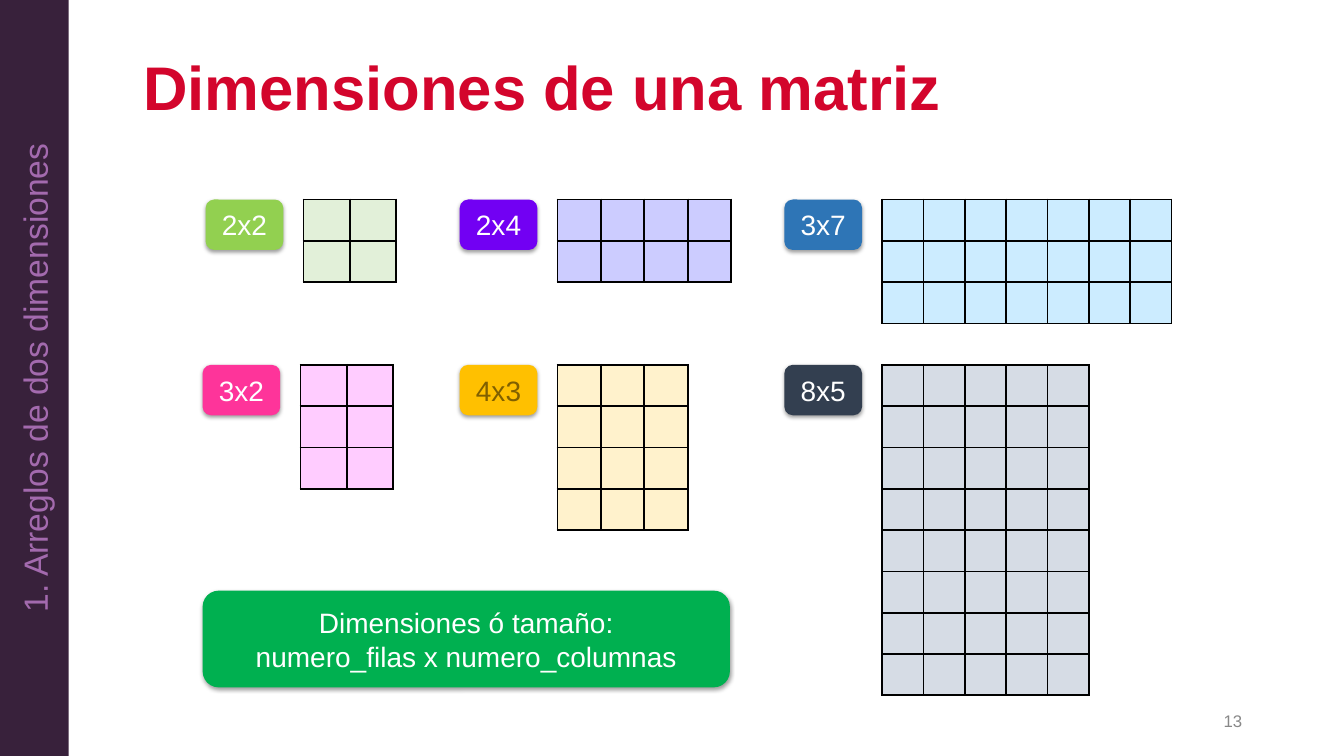
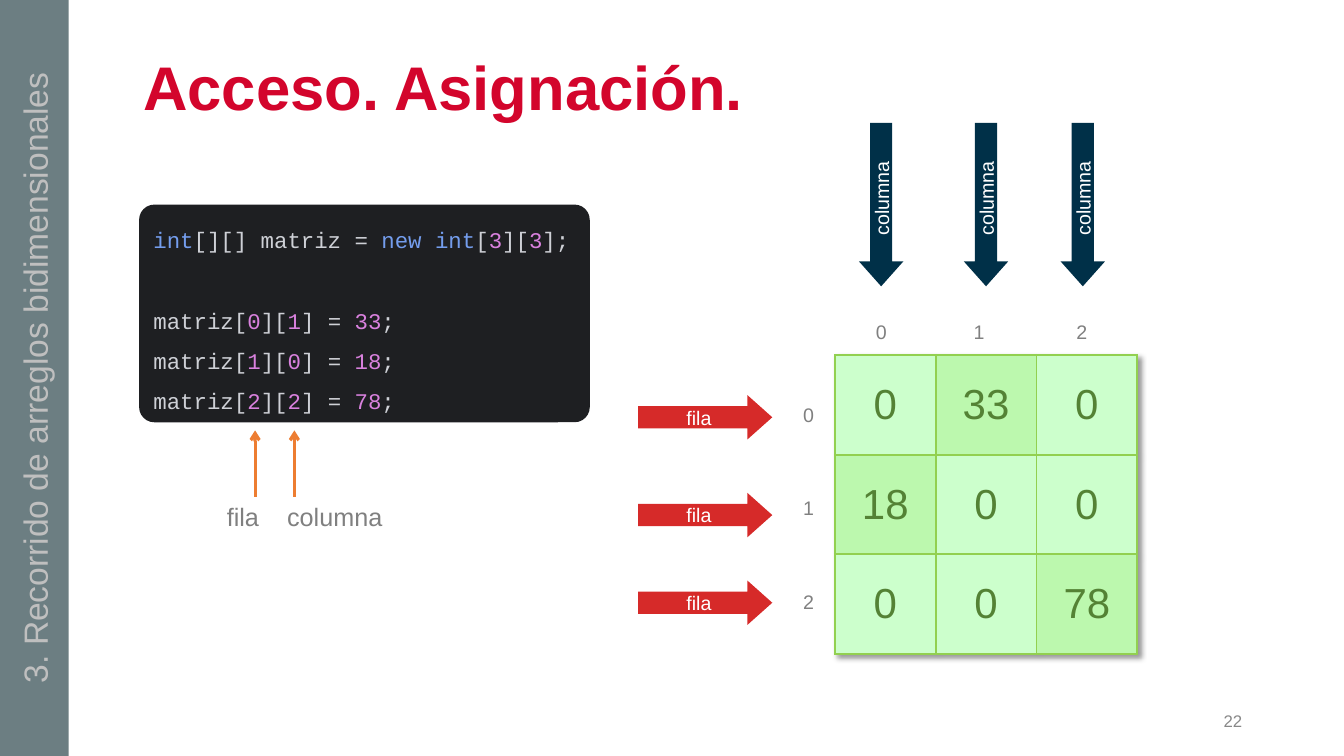
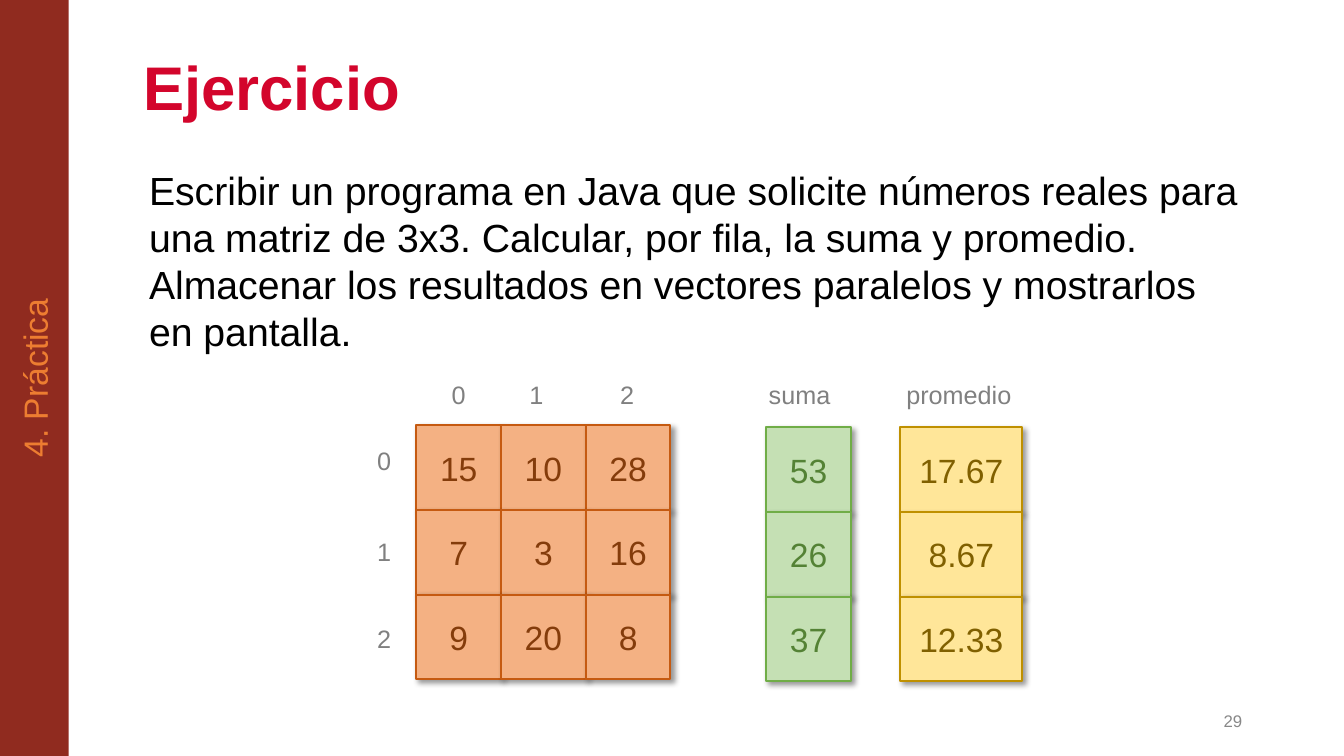
from lxml.etree import SubElement
from pptx import Presentation
from pptx.dml.color import RGBColor
from pptx.enum.shapes import MSO_CONNECTOR, MSO_SHAPE
from pptx.enum.text import MSO_ANCHOR, MSO_AUTO_SIZE, PP_ALIGN
from pptx.oxml import parse_xml
from pptx.oxml.ns import nsdecls, qn
from pptx.util import Inches, Pt

# Shared colours
WHITE = RGBColor(0xFF, 0xFF, 0xFF)
BLACK = RGBColor(0x00, 0x00, 0x00)
TITLE_RED = RGBColor(0xD3, 0x05, 0x2C)
PAGE_GREY = RGBColor(0x88, 0x88, 0x88)
LABEL_GREY = RGBColor(0x80, 0x80, 0x80)
ORANGE = RGBColor(0xED, 0x7D, 0x31)
DARK_GOLD = RGBColor(0x80, 0x60, 0x00)
DARK_GREEN = RGBColor(0x54, 0x82, 0x35)
LIME = RGBColor(0x92, 0xD0, 0x50)

# Section bands
PLUM = RGBColor(0x38, 0x21, 0x3B)
LILAC = RGBColor(0xA3, 0x6A, 0xAE)
SLATE = RGBColor(0x6C, 0x7E, 0x82)
SILVER = RGBColor(0xBF, 0xBF, 0xBF)
BRICK = RGBColor(0x90, 0x2B, 0x1F)

# Matrix sizes
VIOLET = RGBColor(0x72, 0x00, 0xF3)
PINK = RGBColor(0xFE, 0x34, 0x9A)
AMBER = RGBColor(0xFF, 0xC0, 0x00)
BLUE = RGBColor(0x2E, 0x75, 0xB6)
NAVY_GREY = RGBColor(0x33, 0x3F, 0x50)
GREEN = RGBColor(0x00, 0xB0, 0x50)
PALE_GREEN = RGBColor(0xE2, 0xF0, 0xD9)
PALE_VIOLET = RGBColor(0xCC, 0xCC, 0xFF)
PALE_PINK = RGBColor(0xFF, 0xCC, 0xFF)
PALE_AMBER = RGBColor(0xFF, 0xF2, 0xCC)
PALE_BLUE = RGBColor(0xCC, 0xEC, 0xFF)
PALE_GREY = RGBColor(0xD6, 0xDC, 0xE5)

# Code and its matrix
CODE_BACK = RGBColor(0x1E, 0x1F, 0x22)
CODE_TEXT = RGBColor(0xCE, 0xD0, 0xD6)
CODE_KEYWORD = RGBColor(0x74, 0x9D, 0xED)
CODE_NUMBER = RGBColor(0xD9, 0x81, 0xDE)
MINT = RGBColor(0xCC, 0xFF, 0xCC)
ASSIGNED_GREEN = RGBColor(0xBC, 0xF8, 0xAE)
ROW_RED = RGBColor(0xD6, 0x2A, 0x29)
COLUMN_NAVY = RGBColor(0x00, 0x30, 0x48)

# Exercise cells
PEACH = RGBColor(0xF4, 0xB1, 0x83)
RUST = RGBColor(0xC5, 0x5A, 0x11)
BROWN = RGBColor(0x84, 0x3C, 0x0B)
SUM_FILL = RGBColor(0xC5, 0xE0, 0xB4)
SUM_LINE = RGBColor(0x70, 0xAD, 0x47)
MEAN_FILL = RGBColor(0xFF, 0xE6, 0x99)
MEAN_LINE = RGBColor(0xBF, 0x90, 0x00)

# Shadows: opacity in percent, blur and distance in points, angle in degrees
SOFT_SHADOW = (38, 3.1, 1.6, 90)
CORNER_SHADOW = (40, 4, 3, 45)


def shadow_effect(opacity, blur, distance, angle):
    return parse_xml(
        f'<a:effectLst {nsdecls("a")}><a:outerShdw blurRad="{Pt(blur)}" '
        f'dist="{Pt(distance)}" dir="{angle * 60000}" algn="tl" rotWithShape="0">'
        f'<a:srgbClr val="000000"><a:alpha val="{opacity * 1000}"/></a:srgbClr>'
        '</a:outerShdw></a:effectLst>')


class Deck:
    """Holds the presentation style and the slide being built."""

    def __init__(self):
        self.presentation = Presentation()
        self.presentation.slide_width = Inches(13.33)
        self.presentation.slide_height = Inches(7.5)
        self.slide = None

    def new_slide(self, title, number, section, band_color, section_color):
        layout = self.presentation.slide_layouts[5]
        self.slide = self.presentation.slides.add_slide(layout)
        # Title
        shape = self.slide.shapes.title
        shape.left, shape.top = Inches(1.32), Inches(0.47)
        shape.width, shape.height = Inches(11.1), Inches(0.86)
        self.set_text(shape.text_frame, title, 44, TITLE_RED, PP_ALIGN.LEFT, bold=True)
        shape.text_frame.paragraphs[0].line_spacing = 0.9
        # Page number and section band
        self.text(9.42, 6.95, 3, 0.4, number, 12, PAGE_GREY,
                  PP_ALIGN.RIGHT, MSO_ANCHOR.MIDDLE)
        band = self.shape(MSO_SHAPE.RECTANGLE, 0, 0, 0.68, 7.5, band_color,
                          section, 24, section_color)
        band.text_frame._txBody.bodyPr.set("vert", "vert270")

    def format_run(self, run, size, color, name="Arial", bold=False):
        run.font.name = name
        run.font.size = Pt(size)
        run.font.bold = bold
        run.font.color.rgb = color

    def set_text(self, text_frame, text, size, color, align=PP_ALIGN.CENTER,
                 anchor=MSO_ANCHOR.MIDDLE, bold=False):
        text_frame.word_wrap = True
        text_frame.vertical_anchor = anchor
        paragraph = text_frame.paragraphs[0]
        paragraph.text = text
        paragraph.alignment = align
        for run in paragraph.runs:
            self.format_run(run, size, color, bold=bold)

    def text(self, left, top, width, height, text, size, color,
             align=PP_ALIGN.LEFT, anchor=MSO_ANCHOR.TOP):
        box = self.slide.shapes.add_textbox(
            Inches(left), Inches(top), Inches(width), Inches(height))
        self.set_text(box.text_frame, text, size, color, align, anchor)

    def label(self, center_x, center_y, text, size=18):
        width, height = 1.4, 0.5
        self.text(center_x - width / 2, center_y - height / 2, width, height,
                  text, size, LABEL_GREY, PP_ALIGN.CENTER, MSO_ANCHOR.MIDDLE)

    def shape(self, kind, left, top, width, height, fill, text="", size=20,
              color=WHITE, line=None, shadow=None):
        shape = self.slide.shapes.add_shape(
            kind, Inches(left), Inches(top), Inches(width), Inches(height))
        shape.shadow.inherit = False
        shape.fill.solid()
        shape.fill.fore_color.rgb = fill
        if line is None:
            shape.line.fill.background()
        else:
            shape.line.color.rgb = line
            shape.line.width = Pt(1.5)
        if shadow:
            properties = shape._element.spPr
            properties.replace(properties.find(qn("a:effectLst")),
                               shadow_effect(*shadow))
        self.set_text(shape.text_frame, text, size, color)
        return shape

    def block_arrow(self, left, top, width, fill, text):
        arrow = self.shape(MSO_SHAPE.RIGHT_ARROW, left, top, width, 0.44,
                           fill, text, 14)
        arrow.adjustments[1] = 0.56
        return arrow

    def down_arrow(self, left, top, width, fill, text):
        """A mirrored arrow turned so that its text reads upwards."""
        arrow = self.block_arrow(left, top, width, fill, text)
        arrow.rotation = 270
        arrow._element.spPr.xfrm.set("flipH", "1")

    def line_arrow(self, x, start_y, end_y):
        connector = self.slide.shapes.add_connector(
            MSO_CONNECTOR.STRAIGHT, Inches(x), Inches(start_y), Inches(x), Inches(end_y))
        connector.line.color.rgb = ORANGE
        connector.line.width = Pt(2.25)
        SubElement(connector.line._get_or_add_ln(), qn("a:tailEnd"), type="arrow")
        SubElement(connector._element.spPr, qn("a:effectLst"))

    def table(self, left, top, rows, columns, cell_width, cell_height, border):
        frame = self.slide.shapes.add_table(
            rows, columns, Inches(left), Inches(top),
            Inches(cell_width * columns), Inches(cell_height * rows))
        table = frame.table
        table.first_row = table.horz_banding = False
        for column in table.columns:
            column.width = Inches(cell_width)
        for row in table.rows:
            row.height = Inches(cell_height)
        for cell in table.iter_cells():
            properties = cell._tc.get_or_add_tcPr()
            for side in ("lnL", "lnR", "lnT", "lnB"):
                properties.append(parse_xml(
                    f'<a:{side} {nsdecls("a")} w="{Pt(1.5)}"><a:solidFill>'
                    f'<a:srgbClr val="{border}"/></a:solidFill></a:{side}>'))
            cell.fill.solid()
        return table

    def size_example(self, left, top, rows, columns, cell_width, tag_fill,
                     cell_fill, tag_color=WHITE):
        """A tag with the dimensions and the empty matrix beside it."""
        self.shape(MSO_SHAPE.ROUNDED_RECTANGLE, left, top, 0.77, 0.5, tag_fill,
                   f"{rows}x{columns}", color=tag_color, shadow=SOFT_SHADOW)
        table = self.table(left + 0.97, top, rows, columns, cell_width, 0.41, BLACK)
        for cell in table.iter_cells():
            cell.fill.fore_color.rgb = cell_fill

    def value_matrix(self, left, top, values, assigned):
        table = self.table(left, top, len(values), len(values[0]), 1, 0.99, LIME)
        table._tbl.tblPr.insert(0, shadow_effect(*CORNER_SHADOW))
        for row, row_values in enumerate(values):
            for column, value in enumerate(row_values):
                cell = table.cell(row, column)
                cell.fill.fore_color.rgb = (
                    ASSIGNED_GREEN if (row, column) in assigned else MINT)
                cell.margin_left = cell.margin_right = Inches(0.17)
                cell.margin_top = cell.margin_bottom = Inches(0.08)
                cell.vertical_anchor = MSO_ANCHOR.MIDDLE
                paragraph = cell.text_frame.paragraphs[0]
                paragraph.text = str(value)
                paragraph.alignment = PP_ALIGN.CENTER
                self.format_run(paragraph.runs[0], 30, DARK_GREEN)

    def cell_grid(self, left, top, width, values, fill, line, color):
        """Squares of a matrix or vector, one shape a value."""
        for row, row_values in enumerate(values):
            for column, value in enumerate(row_values):
                self.shape(MSO_SHAPE.RECTANGLE, left + column * width,
                           top + row * 0.84, width, 0.84, fill, value, 24, color,
                           line, CORNER_SHADOW)

    def code(self, left, top, width, height, lines):
        box = self.shape(MSO_SHAPE.ROUNDED_RECTANGLE, left, top, width, height, CODE_BACK)
        box.adjustments[0] = 0.07
        box.text_frame.word_wrap = False
        box.text_frame.auto_size = MSO_AUTO_SIZE.SHAPE_TO_FIT_TEXT
        paragraph = box.text_frame.paragraphs[0]
        paragraph.alignment = PP_ALIGN.LEFT
        paragraph.line_spacing = 1.5
        for index, tokens in enumerate(lines):
            if index:
                paragraph.add_line_break()
            for text, color in tokens:
                run = paragraph.add_run()
                run.text = text
                self.format_run(run, 16, color, "Courier New")
        # Line breaks share the size of the code
        for line_break in paragraph._p.findall(qn("a:br")):
            SubElement(line_break, qn("a:rPr"), sz="1600")


def indexed(row, column):
    """Code tokens of a pair of indices, from the first bracket to the second number."""
    return [("[", CODE_TEXT), (str(row), CODE_NUMBER), ("][", CODE_TEXT),
            (str(column), CODE_NUMBER)]


def build_dimensions(deck):
    deck.new_slide("Dimensiones de una matriz", "13",
                   "1. Arreglos de dos dimensiones", PLUM, LILAC)
    first, second = 1.98, 3.62
    deck.size_example(2.04, first, 2, 2, 0.46, LIME, PALE_GREEN)
    deck.size_example(4.56, first, 2, 4, 0.43, VIOLET, PALE_VIOLET)
    deck.size_example(7.78, first, 3, 7, 0.41, BLUE, PALE_BLUE)
    deck.size_example(2.01, second, 3, 2, 0.46, PINK, PALE_PINK)
    deck.size_example(4.56, second, 4, 3, 0.43, AMBER, PALE_AMBER, DARK_GOLD)
    deck.size_example(7.78, second, 8, 5, 0.41, NAVY_GREY, PALE_GREY)
    deck.shape(MSO_SHAPE.ROUNDED_RECTANGLE, 2.01, 5.86, 5.23, 0.96, GREEN,
               "Dimensiones ó tamaño:\vnumero_filas x numero_columnas",
               shadow=SOFT_SHADOW)


def build_assignment(deck):
    deck.new_slide("Acceso. Asignación.", "22",
                   "3. Recorrido de arreglos bidimensionales", SLATE, SILVER)
    assigned = {(0, 1): 33, (1, 0): 18, (2, 2): 78}

    # Code with a pointer to each index
    lines = [[("int", CODE_KEYWORD), ("[][] matriz = ", CODE_TEXT),
              ("new int", CODE_KEYWORD), *indexed(3, 3), ("];", CODE_TEXT)], []]
    for (row, column), value in assigned.items():
        lines.append([("matriz", CODE_TEXT), *indexed(row, column),
                      ("] = ", CODE_TEXT), (str(value), CODE_NUMBER), (";", CODE_TEXT)])
    deck.code(1.38, 2.03, 4.47, 2.16, lines)
    for arrow_x, label_x, text in ((2.53, 2.41, "fila"), (2.92, 3.32, "columna")):
        deck.line_arrow(arrow_x, 4.93, 4.27)
        deck.label(label_x, 5.12, text)

    # Matrix with its indices
    values = [[assigned.get((row, column), 0) for column in range(3)] for row in range(3)]
    deck.value_matrix(8.28, 3.52, values, assigned)
    for index, center_x in enumerate((8.74, 9.71, 10.73)):
        deck.label(center_x, 3.29, str(index), 14)
        deck.label(8.02, 4.11 + index * 0.93, str(index), 14)

    # Row and column arrows
    for top in (3.92, 4.89, 5.76):
        deck.block_arrow(6.33, top, 1.33, ROW_RED, "fila")
    for left in (7.93, 8.97, 9.93):
        deck.down_arrow(left, 1.81, 1.62, COLUMN_NAVY, "columna")


def build_exercise(deck):
    deck.new_slide("Ejercicio", "29", "4. Práctica", BRICK, ORANGE)
    deck.text(1.38, 1.6, 11.04, 2, "Escribir un programa en Java que solicite números "
              "reales para una matriz de 3x3. Calcular, por fila, la suma y promedio. "
              "Almacenar los resultados en vectores paralelos y mostrarlos en pantalla.",
              28, BLACK)

    # Matrix and parallel vectors
    deck.cell_grid(4.13, 4.22, 0.84, [("15", "10", "28"), ("7", "3", "16"),
                                      ("9", "20", "8")], PEACH, RUST, BROWN)
    deck.cell_grid(7.6, 4.24, 0.84, [("53",), ("26",), ("37",)],
                   SUM_FILL, SUM_LINE, DARK_GREEN)
    deck.cell_grid(8.93, 4.24, 1.21, [("17.67",), ("8.67",), ("12.33",)],
                   MEAN_FILL, MEAN_LINE, DARK_GOLD)

    # Column and row labels
    for center_x, text in ((4.55, "0"), (5.32, "1"), (6.22, "2"),
                           (7.93, "suma"), (9.51, "promedio")):
        deck.label(center_x, 3.91, text)
    for index, center_y in enumerate((4.57, 5.47, 6.33)):
        deck.label(3.81, center_y, str(index))


def main():
    deck = Deck()
    build_dimensions(deck)
    build_assignment(deck)
    build_exercise(deck)
    deck.presentation.save("out.pptx")


if __name__ == "__main__":
    main()
